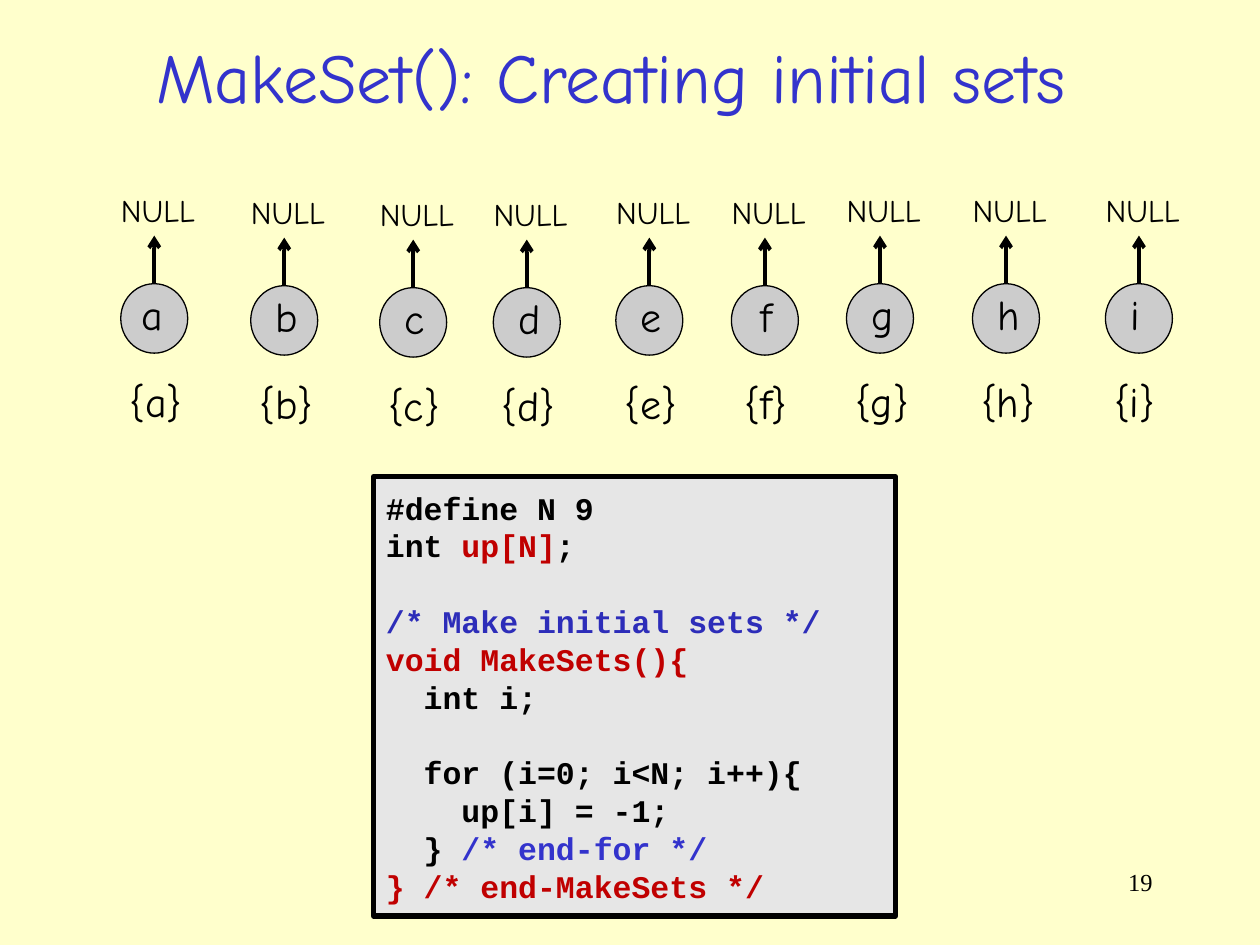
from lxml.etree import SubElement
from pptx import Presentation
from pptx.dml.color import RGBColor
from pptx.enum.shapes import MSO_CONNECTOR as Connector, MSO_SHAPE as Preset
from pptx.enum.text import MSO_ANCHOR as Anchor, MSO_AUTO_SIZE as AutoSize, PP_ALIGN as Align
from pptx.oxml.ns import qn
from pptx.util import Cm, Pt

BLACK, BLUE, RED = "000000", "3333CC", "C00000"
DARK_BLUE, NODE_GREY, CODE_GREY, CREAM = "2D2DB9", "CCCCCC", "E6E6E6", "FFFFCC"
HAND = "Comic Neue"
NODE_WIDTH, NODE_HEIGHT, ARROW_LENGTH = 1.35, 1.4, 0.97
TEXT_HEIGHT, BRACES_WIDTH = 1.27, 0.7
FIT = {"word_wrap": False, "auto_size": AutoSize.SHAPE_TO_FIT_TEXT}
FIXED = {"word_wrap": True, "auto_size": AutoSize.NONE}

NODES = [
    ("a", 3.11, 5.72, 0.5, 0.94),
    ("b", 5.73, 5.76, 0.42, 0.97),
    ("c", 8.33, 5.8, 0.42, 0.91),
    ("d", 10.62, 5.8, 0.42, 0.94),
    ("e", 13.09, 5.76, 0.42, 0.91),
    ("f", 15.42, 5.76, 0.33, 0.74),
    ("g", 17.74, 5.72, 0.42, 0.94),
    ("h", 20.28, 5.72, 0.42, 0.97),
    ("i", 22.96, 5.72, 0.42, 0.69),
]

CODE = [
    [("#define N 9", BLACK)],
    [("int ", BLACK), ("up[N]", RED), (";", BLACK)],
    [],
    [("/* Make initial sets */", DARK_BLUE)],
    [("void MakeSets(){", RED)],
    [("  int i;", BLACK)],
    [],
    [("  for (i=0; i<N; i++){", BLACK)],
    [("    up[i] = -1;", BLACK)],
    [("  } ", BLACK), ("/* end-for */", BLUE)],
    [("} /* end-MakeSets */", RED)],
]


def colour(hex_code):
    """Turn a hex string into a colour."""
    return RGBColor.from_string(hex_code)


def apply(target, **values):
    """Set every given attribute on the target."""
    for attribute, value in values.items():
        setattr(target, attribute, value)


def style_font(font, size, name=HAND, hex_code=BLACK, **values):
    """Format a font."""
    apply(font, size=Pt(size), name=name, **values)
    font.color.rgb = colour(hex_code)


def add_title(slide, text):
    """Move, fill and format the title placeholder."""
    title = slide.shapes.title
    apply(title, left=Cm(0.94), top=Cm(0.64), width=Cm(22.76), height=Cm(1.75))
    apply(title.text_frame, text=text, vertical_anchor=Anchor.MIDDLE, **FIXED)
    heading = title.text_frame.paragraphs[0]
    heading.alignment = Align.CENTER
    style_font(heading.runs[0].font, 40, hex_code=BLUE)


def add_text(shapes, text, left, top, width, height, size,
             font=HAND, align=Align.LEFT, sizing=FIT):
    """Add a one-line text box."""
    frame = shapes.add_textbox(Cm(left), Cm(top), Cm(width), Cm(height)).text_frame
    apply(frame, text=text, **sizing)
    line = frame.paragraphs[0]
    line.alignment = align
    style_font(line.runs[0].font, size, font)


def add_panel(shapes, preset, left, top, width, height, fill, line_width):
    """Add a filled, black-outlined shape."""
    panel = shapes.add_shape(preset, Cm(left), Cm(top), Cm(width), Cm(height))
    panel.shadow.inherit = False
    panel.fill.solid()
    panel.fill.fore_color.rgb = colour(fill)
    panel.line.color.rgb = colour(BLACK)
    panel.line.width = Pt(line_width)
    return panel


def add_up_arrow(slide, x, bottom):
    """Add an arrow that points straight up."""
    arrow = slide.shapes.add_connector(
        Connector.STRAIGHT, Cm(x), Cm(bottom), Cm(x), Cm(bottom - ARROW_LENGTH))
    arrow.line.color.rgb = colour(BLACK)
    arrow.line.width = Pt(2.25)
    SubElement(arrow.line._get_or_add_ln(), qn("a:tailEnd"), type="arrow")
    SubElement(arrow._element.spPr, qn("a:effectLst"))


def add_node(slide, letter, centre, top, letter_offset, letter_width):
    """Add a one-element set: node, null pointer and set label."""
    node = slide.shapes.add_group_shape().shapes
    add_panel(node, Preset.OVAL, centre - NODE_WIDTH / 2, top,
              NODE_WIDTH, NODE_HEIGHT, NODE_GREY, 0.75)
    add_text(node, letter, centre - letter_offset, top - 0.03,
             letter_width, TEXT_HEIGHT, 24)
    add_up_arrow(slide, centre, top)
    add_text(slide.shapes, "NULL", centre - 0.92, top - 1.99, 2.01, 1.02, 18)
    add_text(slide.shapes, "{" + letter + "}", centre - min(0.75, letter_offset + 0.33),
             top + 1.73, letter_width + BRACES_WIDTH, TEXT_HEIGHT, 24)


def add_code(slide, lines):
    """Add the code box with coloured lines."""
    box = add_panel(slide.shapes, Preset.RECTANGLE, 7.53, 9.61, 10.52, 8.86, CODE_GREY, 3)
    frame = box.text_frame
    apply(frame, vertical_anchor=Anchor.MIDDLE, **FIXED)
    for index, pieces in enumerate(lines):
        line = frame.add_paragraph() if index else frame.paragraphs[0]
        apply(line, alignment=Align.LEFT, line_spacing=Pt(21.6))
        style_font(line.font, 18, "Courier New", bold=True)
        for text, hex_code in pieces:
            run = line.add_run()
            run.text = text
            style_font(run.font, 18, "Courier New", hex_code, bold=True)


def main():
    """Build the slide and save it."""
    deck = Presentation()
    apply(deck, slide_width=Cm(25.4), slide_height=Cm(19.05))
    slide = deck.slides.add_slide(deck.slide_layouts.get_by_name("Title Only"))
    slide.background.fill.solid()
    slide.background.fill.fore_color.rgb = colour(CREAM)
    add_title(slide, "MakeSet(): Creating initial sets")
    for node in NODES:
        add_node(slide, *node)
    add_code(slide, CODE)
    add_text(slide.shapes, "19", 18.21, 17.35, 5.28, TEXT_HEIGHT, 14,
             "Times New Roman", Align.RIGHT, FIXED)
    deck.save("out.pptx")


if __name__ == "__main__":
    main()
